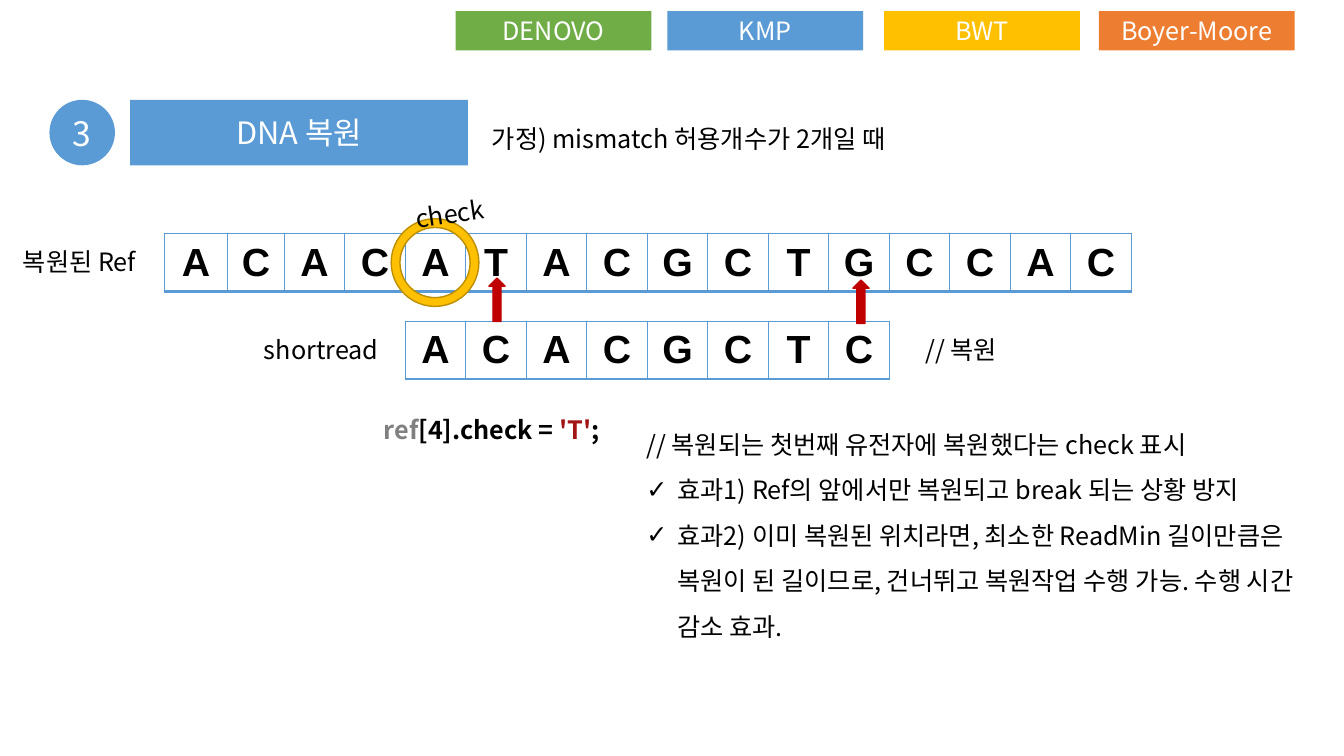
from dataclasses import dataclass

from lxml import etree
from pptx import Presentation
from pptx import util as u
from pptx.dml.color import RGBColor
from pptx.enum import shapes, text
from pptx.oxml import ns

Inches = u.Inches
Preset = shapes.MSO_SHAPE
Align = text.PP_ALIGN
Anchor = text.MSO_ANCHOR


@dataclass(frozen=True)
class Theme:
    sans: str = "Noto Sans CJK KR"
    gene: str = "Arial"
    white: str = "FFFFFF"
    black: str = "000000"
    grey: str = "808080"
    blue: str = "5B9BD5"
    green: str = "70AD47"
    gold: str = "FFC000"
    dark_gold: str = "BD8E00"
    orange: str = "ED7D31"
    red: str = "C00000"
    literal: str = "A31515"
    body: int = 18
    title: int = 22
    number: int = 24
    letter: int = 28


THEME = Theme()


def add_xml(parent, tag, **attributes):
    return etree.SubElement(parent, ns.qn(tag), attributes)


def add_solid(parent, color):
    add_xml(add_xml(parent, "a:solidFill"), "a:srgbClr", val=color)


def style_span(span, color=THEME.black, size=THEME.body, face=THEME.sans, bold=False):
    span.font.name = face
    span.font.size = u.Pt(size)
    span.font.bold = bold
    span.font.color.rgb = RGBColor.from_string(color)
    add_xml(span.font._element, "a:ea", typeface=face)


def style_frame(frame, **style):
    for para in frame.paragraphs:
        for span in para.runs:
            style_span(span, **style)


def center(frame):
    frame.vertical_anchor = Anchor.MIDDLE
    for para in frame.paragraphs:
        para.alignment = Align.CENTER


def place(item, box):
    item.left, item.top, item.width, item.height = (Inches(value) for value in box)


def paint(shape, fill, line=None):
    shape.fill.solid()
    shape.fill.fore_color.rgb = RGBColor.from_string(fill)
    if line:
        shape.line.color.rgb = RGBColor.from_string(line)
        shape.line.width = u.Pt(1)
    else:
        shape.line.fill.background()


def add_block(page, preset, box, fill, line=None, label="", size=THEME.body):
    shape = page.shapes.add_shape(preset, *(Inches(value) for value in box))
    shape.shadow.inherit = False
    paint(shape, fill, line)
    if label:
        shape.text_frame.text = label
        center(shape.text_frame)
        style_frame(shape.text_frame, color=THEME.white, size=size)
    return shape


def add_label(page, box, label, wrap=True):
    item = page.shapes.add_textbox(*(Inches(value) for value in box))
    item.text_frame.word_wrap = wrap
    item.text_frame.text = label
    style_frame(item.text_frame)
    return item


def add_tabs(page, box):
    left, top, width, height = box
    tabs = [(0, "DENOVO", THEME.green), (2.1, "KMP", THEME.blue),
            (4.25, "BWT", THEME.gold), (6.38, "Boyer-Moore", THEME.orange)]
    for offset, label, fill in tabs:
        add_block(page, Preset.RECTANGLE, (left + offset, top, width, height), fill, label=label)


def add_heading(page, box):
    left, top, width, height = box
    add_block(page, Preset.OVAL, (left, top, height, height), THEME.blue,
              label="3", size=THEME.number)
    title = page.shapes.title
    place(title, (left + 0.8, top, width - 0.8, height))
    outline = etree.Element(ns.qn("a:prstGeom"), prst="snip2DiagRect")
    add_xml(outline, "a:avLst")
    title._element.spPr.find(ns.qn("a:xfrm")).addnext(outline)
    paint(title, THEME.blue)
    title.text_frame.text = "DNA 복원"
    center(title.text_frame)
    style_frame(title.text_frame, color=THEME.white, size=THEME.title)
    add_label(page, (left + width + 0.14, top + 0.18, 4.7, 0.4),
              "가정) mismatch 허용개수가 2개일 때")


def add_borders(cell):
    properties = cell._tc.get_or_add_tcPr()
    for side, points in (("L", 1), ("R", 1), ("T", 1), ("B", 2)):
        edge = add_xml(properties, f"a:ln{side}", w=str(u.Pt(points)))
        add_solid(edge, THEME.blue)


def add_sequence(page, box, letters, widths):
    frame = page.shapes.add_table(1, len(letters), *(Inches(value) for value in box))
    table = frame.table
    table.first_row = table.horz_banding = False
    for column, width in zip(table.columns, widths):
        column.width = Inches(width)
    for cell, letter in zip(table.rows[0].cells, letters):
        add_borders(cell)
        cell.fill.background()
        cell.text = letter
        center(cell.text_frame)
        cell.vertical_anchor = Anchor.MIDDLE
        style_frame(cell.text_frame, size=THEME.letter, face=THEME.gene, bold=True)


def add_alignment(page, box):
    left, top, width, height = box
    step = 0.6
    short_left, short_top = left + 2.39, top + 0.87
    add_label(page, (left - 1.5, top + 0.07, 1.5, 0.4), "복원된 Ref")
    add_label(page, (short_left - 1.5, short_top + 0.08, 1.37, 0.4), "shortread")
    add_label(page, (short_left + 5.06, short_top + 0.08, 1, 0.4), "// 복원", wrap=False)
    add_sequence(page, box, "ACACATACGCTGCCAC", [0.63, 0.56] + [step] * 14)
    add_sequence(page, (short_left, short_top, 8 * step, height), "ACACGCTC", [step] * 8)
    for offset, rise in ((3.22, 0.44), (6.83, 0.46)):
        add_block(page, Preset.UP_ARROW, (left + offset, top + rise, 0.16, 0.43),
                  THEME.red, THEME.red)
    ring = add_block(page, Preset.DONUT, (left + 2.25, top - 0.15, 0.87, 0.87),
                     THEME.gold, THEME.dark_gold)
    ring.adjustments[0] = 0.1
    check = add_label(page, (left + 2.39, top - 0.43, 1.26, 0.4), "check")
    check.rotation = 351.5
    outline = etree.Element(ns.qn("a:ln"), w=str(u.Pt(0.75)))
    add_solid(outline, THEME.red)
    check.text_frame.paragraphs[0].runs[0].font._element.insert(0, outline)


def add_code(page, box):
    item = add_label(page, box, "", wrap=False)
    para = item.text_frame.paragraphs[0]
    for part, color in (("ref", THEME.grey), ("[4].check = ", THEME.black),
                        ("'T'", THEME.literal), (";", THEME.black)):
        span = para.add_run()
        span.text = part
        style_span(span, color=color, bold=True)


def add_effects(page, box):
    body = page.placeholders[1]
    place(body, box)
    frame = body.text_frame
    frame.auto_size = text.MSO_AUTO_SIZE.NONE
    frame.vertical_anchor = Anchor.TOP
    lines = ["// 복원되는 첫번째 유전자에 복원했다는 check 표시",
             "효과1) Ref의 앞에서만 복원되고 break 되는 상황 방지",
             "효과2) 이미 복원된 위치라면, 최소한 ReadMin 길이만큼은 복원이 된 길이므로, "
             "건너뛰고 복원작업 수행 가능. 수행 시간 감소 효과."]
    frame.text = "\n".join(lines)
    for index, para in enumerate(frame.paragraphs):
        indent = Inches(0.31) if index else 0
        properties = para._p.get_or_add_pPr()
        properties.set("marL", str(indent))
        properties.set("indent", str(-indent))
        if index:
            add_xml(properties, "a:buChar", char="✓")
        else:
            add_xml(properties, "a:buNone")
        para.line_spacing = 1.5
        para.space_before = u.Pt(0)
    style_frame(frame)


def main():
    deck = Presentation()
    deck.slide_width, deck.slide_height = Inches(13.33), Inches(7.5)
    page = deck.slides.add_slide(deck.slide_layouts[1])
    add_tabs(page, (4.52, 0.11, 1.94, 0.39))
    add_heading(page, (0.49, 0.99, 4.15, 0.65))
    add_alignment(page, (1.63, 2.32, 9.56, 0.57))
    add_code(page, (3.71, 4.06, 2.6, 0.4))
    add_effects(page, (6.31, 4.06, 6.8, 2.31))
    deck.save("out.pptx")


if __name__ == "__main__":
    main()
